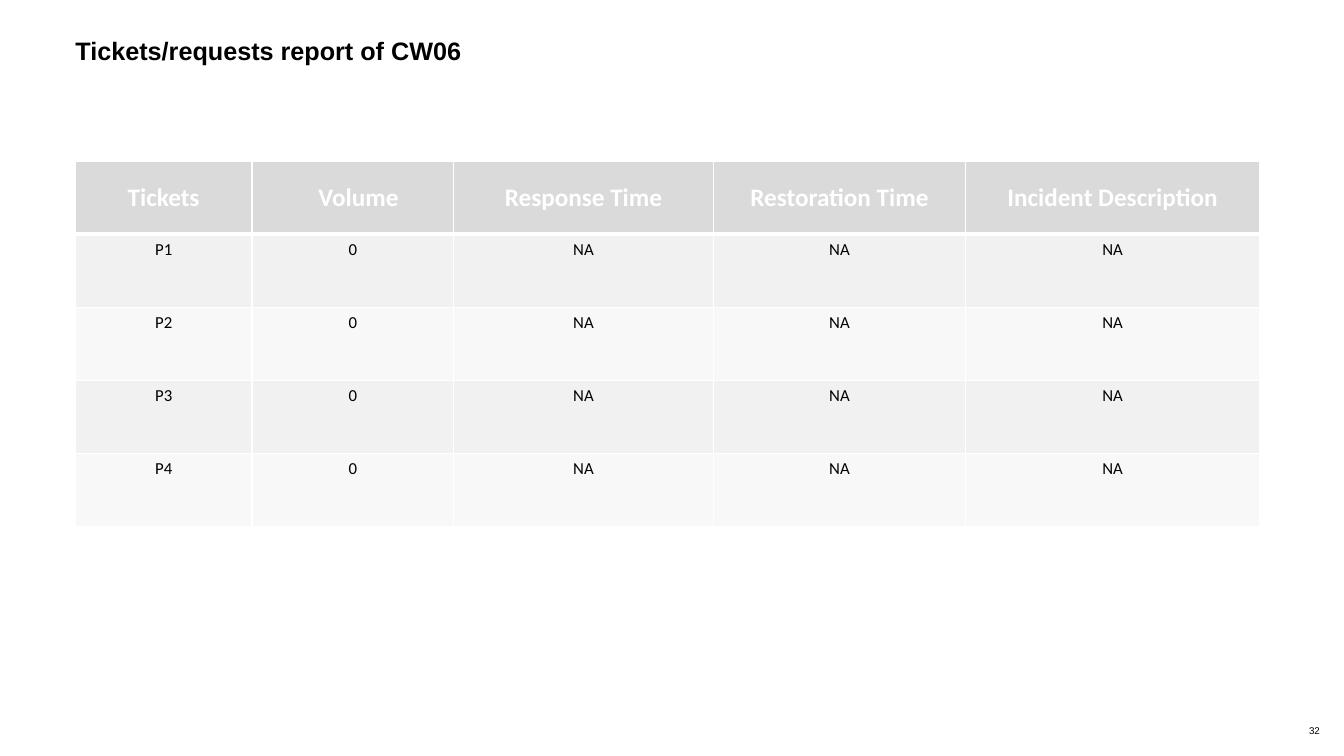
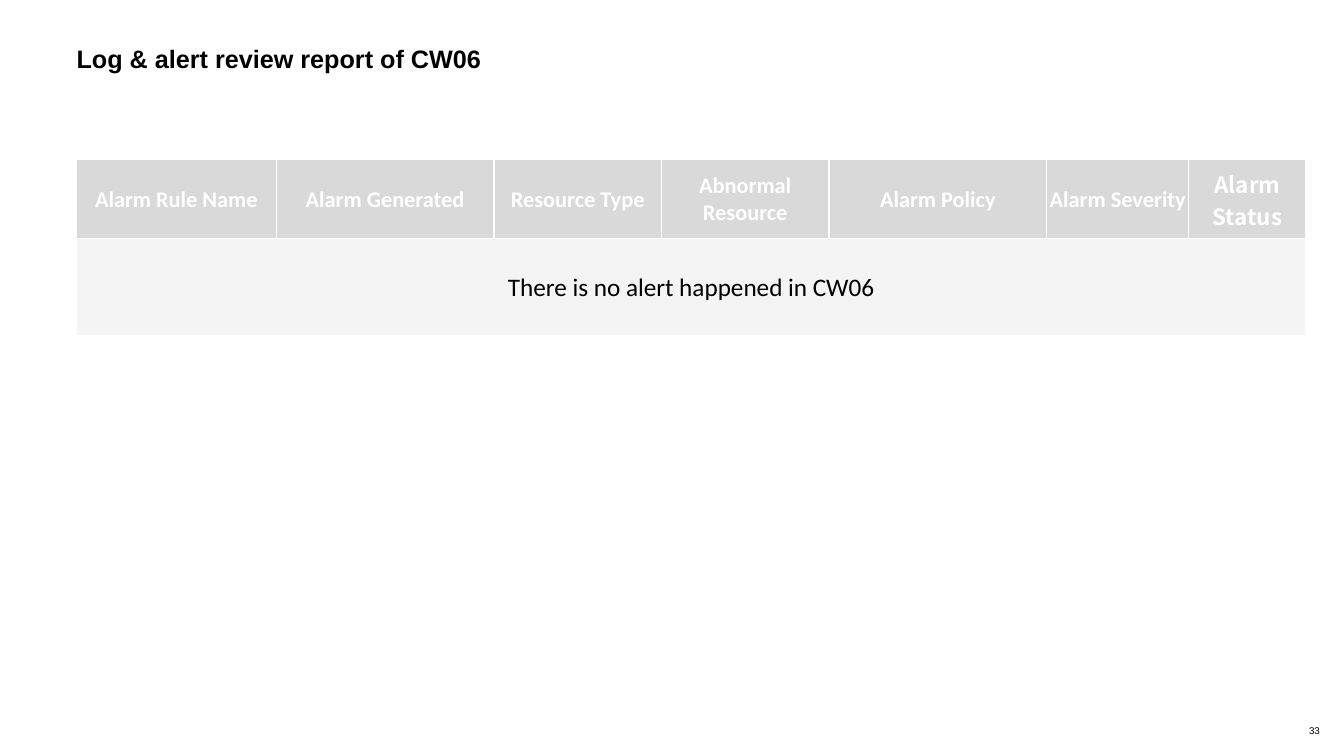
import lxml.etree
import pptx
import pptx.dml.color
import pptx.enum.text
import pptx.oxml.ns
import pptx.util

Cm = pptx.util.Cm
Pt = pptx.util.Pt
RGB = pptx.dml.color.RGBColor
ALIGN = pptx.enum.text.PP_ALIGN
ANCHOR = pptx.enum.text.MSO_ANCHOR
qn = pptx.oxml.ns.qn

WHITE = RGB(0xFF, 0xFF, 0xFF)
BLACK = RGB(0x00, 0x00, 0x00)
TICKET_HEAD = RGB(0xDA, 0xDA, 0xDA)
TICKET_BANDS = (RGB(0xF1, 0xF1, 0xF1), RGB(0xF8, 0xF8, 0xF8))
ALARM_HEAD = RGB(0xD9, 0xD9, 0xD9)
ALARM_BODY = RGB(0xF4, 0xF4, 0xF4)

TITLE_FONT = "Arial"
TABLE_FONT = "Calibri"
STATUS_FONT = "Noto Sans CJK SC"


class Report:
    """Holds the shared style and the current slide."""

    def __init__(self):
        """Start a wide presentation."""
        self.deck = pptx.Presentation()
        self.deck.slide_width = Cm(33.87)
        self.deck.slide_height = Cm(19.05)
        self.slide = None

    def set_text(self, frame, text, size, font, color=BLACK, bold=False, align=None):
        """Write one paragraph and format it."""
        frame.text = text
        paragraph = frame.paragraphs[0]
        paragraph.alignment = align
        for run in paragraph.runs:
            run.font.size = Pt(size)
            run.font.name = font
            run.font.bold = bold
            run.font.color.rgb = color

    def clear_insets(self, frame):
        """Remove the inner margins of a text frame."""
        frame.margin_left = frame.margin_right = 0
        frame.margin_top = frame.margin_bottom = 0

    def add_slide(self, title, left, top, number):
        """Add a slide with its title and page number."""
        self.slide = self.deck.slides.add_slide(self.deck.slide_layouts[5])
        heading = self.slide.shapes.title
        heading.left, heading.top = Cm(left), Cm(top)
        heading.width, heading.height = Cm(31.5), Cm(1.7)
        frame = heading.text_frame
        self.clear_insets(frame)
        frame.auto_size = pptx.enum.text.MSO_AUTO_SIZE.NONE
        frame.vertical_anchor = ANCHOR.TOP
        self.set_text(frame, title, 18, TITLE_FONT, bold=True, align=ALIGN.LEFT)
        frame.paragraphs[0].line_spacing = 1.1
        self.add_page_number(number)

    def add_page_number(self, number):
        """Put the page number in the lower right corner."""
        page = self.slide.shapes.add_textbox(Cm(32.99), Cm(18.19), Cm(0.89), Cm(0.43))
        frame = page.text_frame
        self.clear_insets(frame)
        frame.word_wrap = True
        frame.vertical_anchor = ANCHOR.MIDDLE
        self.set_text(frame, str(number), 7, TITLE_FONT)

    def add_table(self, left, top, columns, rows):
        """Add an unstyled table with the given widths and heights in cm."""
        table = self.slide.shapes.add_table(
            len(rows), len(columns), Cm(left), Cm(top), Cm(sum(columns)), Cm(sum(rows))
        ).table
        table.first_row = table.horz_banding = False
        for column, width in zip(table.columns, columns):
            column.width = Cm(width)
        for row, height in zip(table.rows, rows):
            row.height = Cm(height)
        return table

    def add_border(self, cell, side, width):
        """Draw one white cell border; side is L, R, T or B."""
        properties = cell._tc.get_or_add_tcPr()
        line = lxml.etree.SubElement(properties, qn("a:ln" + side), w=str(Pt(width)))
        fill = lxml.etree.SubElement(line, qn("a:solidFill"))
        lxml.etree.SubElement(fill, qn("a:srgbClr"), val=str(WHITE))

    def fill_cell(self, cell, text, fill, size, font=TABLE_FONT, head=False,
                  anchor=ANCHOR.MIDDLE, bottom_line=1):
        """Write, border and fill one table cell."""
        self.set_text(cell.text_frame, text, size, font,
                      WHITE if head else BLACK, head, ALIGN.CENTER)
        cell.vertical_anchor = anchor
        for side, width in (("L", 1), ("R", 1), ("T", 1), ("B", bottom_line)):
            self.add_border(cell, side, width)
        cell.fill.solid()
        cell.fill.fore_color.rgb = fill

    def tighten(self, cell):
        """Reduce the margins of a cell to almost nothing."""
        cell.margin_left = cell.margin_right = cell.margin_top = Cm(0.03)
        cell.margin_bottom = 0


def build_tickets(report):
    """Build the slide on tickets and requests."""
    report.add_slide("Tickets/requests report of CW06", 1.9, 0.81, 32)
    headings = ("Tickets", "Volume", "Response Time", "Restoration Time",
                "Incident Description")
    priorities = ("P1", "P2", "P3", "P4")
    tickets = report.add_table(1.9, 4.06, (4.45, 5.08, 6.55, 6.35, 7.42),
                               [1.84] * (len(priorities) + 1))
    for column, heading in enumerate(headings):
        report.fill_cell(tickets.cell(0, column), heading, TICKET_HEAD, 18,
                         head=True, bottom_line=3)
    tickets.cell(0, 1).margin_left = Cm(0.54)
    for row, priority in enumerate(priorities, 1):
        for column, value in enumerate((priority, "0", "NA", "NA", "NA")):
            report.fill_cell(tickets.cell(row, column), value,
                             TICKET_BANDS[(row - 1) % 2], 12, anchor=ANCHOR.TOP,)


def build_alarms(report):
    """Build the slide on logs and alerts."""
    report.add_slide("Log & alert review report of CW06", 1.93, 1.02, 33)
    headings = ("Alarm Rule Name", "Alarm Generated", "Resource Type",
                "Abnormal Resource", "Alarm Policy", "Alarm Severity", "Alarm Status")
    alarms = report.add_table(1.93, 4.01, (5.03, 5.49, 4.22, 4.22, 5.49, 3.58, 2.95),
                              (2.01, 2.44))
    for column, heading in enumerate(headings):
        cell = alarms.cell(0, column)
        font = STATUS_FONT if heading == "Alarm Status" else TABLE_FONT
        report.fill_cell(cell, heading, ALARM_HEAD, 16, font, head=True)
        report.tighten(cell)
    message = alarms.cell(1, 0)
    message.merge(alarms.cell(1, len(headings) - 1))
    report.fill_cell(message, "There is no alert happened in CW06", ALARM_BODY, 18)
    report.tighten(message)


weekly = Report()
build_tickets(weekly)
build_alarms(weekly)
weekly.deck.save("out.pptx")
